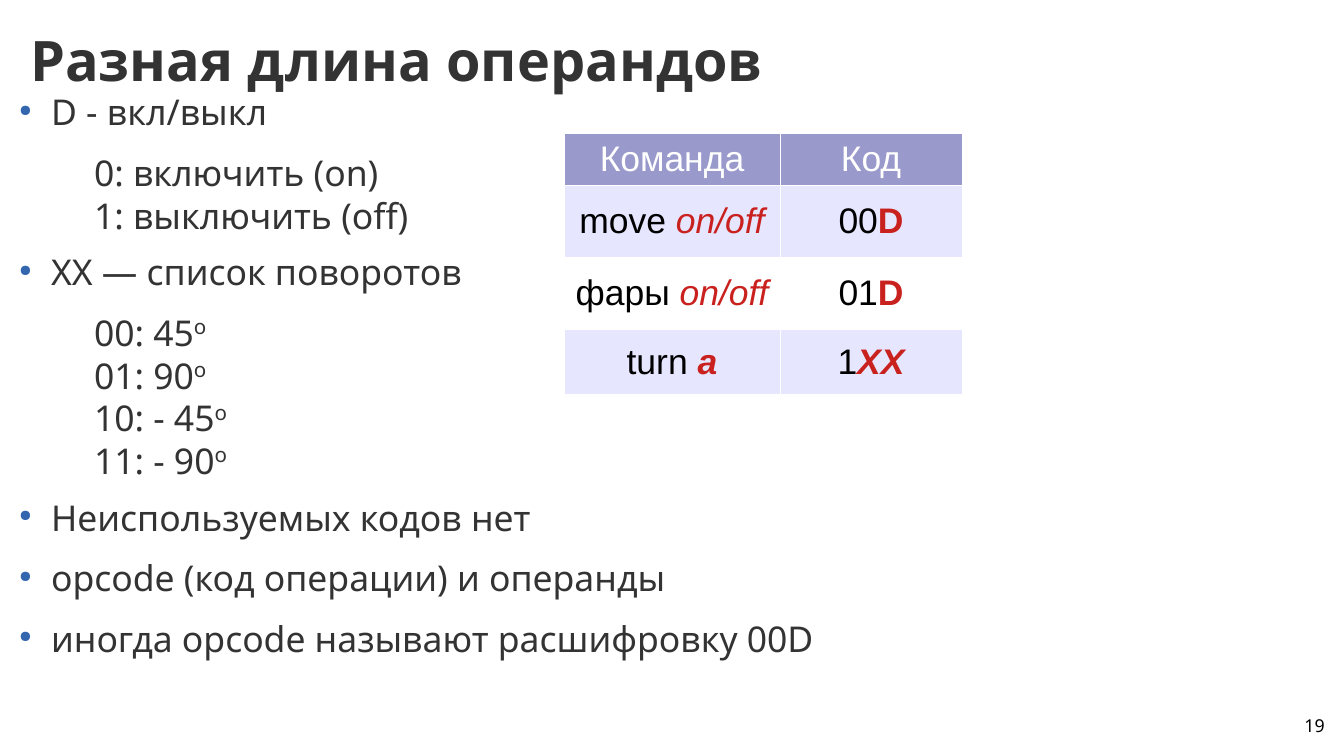
"""Builds the slide on operands of different length."""
from lxml import etree
from pptx import Presentation
from pptx import util as u
from pptx.dml.color import RGBColor
from pptx.enum import text
from pptx.oxml.ns import qn

WIDTH, HEIGHT = 14.72, 8.27
TITLE = "Разная длина операндов"
PAGE = "19"
POINTS = [
    ("bullet", ["D - вкл/выкл"]),
    ("detail", ["0: включить (on)", "1: выключить (off)"]),
    ("bullet", ["ХХ — список поворотов"]),
    ("detail", ["00: 45^o", "01: 90^o", "10: - 45^o", "11: - 90^o"]),
    ("bullet", ["Неиспользуемых кодов нет"]),
    ("bullet", ["opcode (код операции) и операнды"]),
    ("bullet", ["иногда opcode называют расшифровку 00D"]),
]
COMMANDS = [
    [[("Команда", "header")], [("Код", "header")]],
    [[("move ", "cell"), ("on/off", "operand")], [("00", "cell"), ("D", "bit")]],
    [[("фары ", "cell"), ("on/off", "operand")], [("01", "cell"), ("D", "bit")]],
    [[("turn ", "cell"), ("a", "variable")], [("1", "cell"), ("XX", "variable")]],
]
COLUMNS = [2.36, 2.0]
ROWS = [0.57, 0.79, 0.79, 0.71]
PLACES = {
    "title": (0.33, 0.23, 14.16, 0.83),
    "points": (0.09, 0.99, 10.89, 7.22),
    "commands": (6.18, 1.46, sum(COLUMNS), sum(ROWS)),
    "page": (11.08, 7.83, 3.43, 0.31),
}
BODY = {"name": "Noto Sans", "size": 28, "color": "333333"}
CELL = {"name": "Arial", "size": 28, "color": "000000"}
RED = {**CELL, "color": "C9211E"}
THEME = {
    "title": {**BODY, "size": 44, "bold": True},
    "body": BODY,
    "page": {**BODY, "size": 14, "color": "000000"},
    "header": {**CELL, "color": "FFFFFF"},
    "cell": CELL,
    "operand": {**RED, "italic": True},
    "bit": {**RED, "bold": True},
    "variable": {**RED, "bold": True, "italic": True},
    "fills": ["9999CC", "E6E6FF", "FFFFFF", "E6E6FF"],
    "border": "FFFFFF",
    "marker": "3465AF",
}
LEVELS = {
    "bullet": {"margin": 0.47, "indent": -0.35, "after": 14.1},
    "detail": {"margin": 0.94, "indent": 0, "after": 11.3},
}


def add_text(paragraph, words, style):
    run = paragraph.add_run()
    run.text = words
    for key, value in THEME[style].items():
        if key == "color":
            run.font.color.rgb = RGBColor.from_string(value)
        else:
            setattr(run.font, key, u.Pt(value) if key == "size" else value)
    return run


def add_frame(slide, part, anchor=text.MSO_ANCHOR.TOP):
    frame = slide.shapes.add_textbox(*map(u.Inches, PLACES[part])).text_frame
    layout = {"word_wrap": True, "vertical_anchor": anchor}
    layout.update({f"margin_{side}": 0 for side in ("left", "right", "top", "bottom")})
    for key, value in layout.items():
        setattr(frame, key, value)
    return frame


def set_level(paragraph, level):
    rule = LEVELS[level]
    properties = paragraph._p.get_or_add_pPr()
    properties.set("marL", str(u.Inches(rule["margin"])))
    properties.set("indent", str(u.Inches(rule["indent"])))
    if level == "bullet":
        color = etree.SubElement(properties, qn("a:buClr"))
        etree.SubElement(color, qn("a:srgbClr"), val=THEME["marker"])
        etree.SubElement(properties, qn("a:buSzPct"), val="45000")
        etree.SubElement(properties, qn("a:buFont"), typeface="OpenSymbol")
        etree.SubElement(properties, qn("a:buChar"), char="●")
    else:
        properties.set("lvl", "1")
        etree.SubElement(properties, qn("a:buNone"))
    paragraph.space_after = u.Pt(rule["after"])


def add_points(slide):
    frame = add_frame(slide, "points")
    for index, (level, lines) in enumerate(POINTS):
        paragraph = frame.add_paragraph() if index else frame.paragraphs[0]
        set_level(paragraph, level)
        for number, line in enumerate(lines):
            if number:
                paragraph.add_line_break()
            words, _, degree = line.partition("^")
            add_text(paragraph, words, "body")
            if degree:
                raised = add_text(paragraph, degree, "body")
                raised._r.get_or_add_rPr().set("baseline", "33000")


def add_commands(slide):
    place = map(u.Inches, PLACES["commands"])
    table = slide.shapes.add_table(len(ROWS), len(COLUMNS), *place).table
    for column, width in zip(table.columns, COLUMNS):
        column.width = u.Inches(width)
    for row, height, commands, fill in zip(table.rows, ROWS, COMMANDS, THEME["fills"]):
        row.height = u.Inches(height)
        for cell, pieces in zip(row.cells, commands):
            cell.vertical_anchor = text.MSO_ANCHOR.MIDDLE
            for side in ("lnL", "lnR", "lnT", "lnB"):
                line = etree.SubElement(cell._tc.get_or_add_tcPr(), qn(f"a:{side}"), w="720")
                solid = etree.SubElement(line, qn("a:solidFill"))
                etree.SubElement(solid, qn("a:srgbClr"), val=THEME["border"])
            cell.fill.solid()
            cell.fill.fore_color.rgb = RGBColor.from_string(fill)
            paragraph = cell.text_frame.paragraphs[0]
            paragraph.alignment = text.PP_ALIGN.CENTER
            for words, style in pieces:
                add_text(paragraph, words, style)


def main():
    deck = Presentation()
    deck.slide_width, deck.slide_height = u.Inches(WIDTH), u.Inches(HEIGHT)
    slide = deck.slides.add_slide(deck.slide_layouts[6])
    heading = add_frame(slide, "title", text.MSO_ANCHOR.MIDDLE)
    add_text(heading.paragraphs[0], TITLE, "title")
    add_points(slide)
    add_commands(slide)
    page = add_frame(slide, "page").paragraphs[0]
    page.alignment = text.PP_ALIGN.RIGHT
    add_text(page, PAGE, "page")
    deck.save("out.pptx")


if __name__ == "__main__":
    main()
